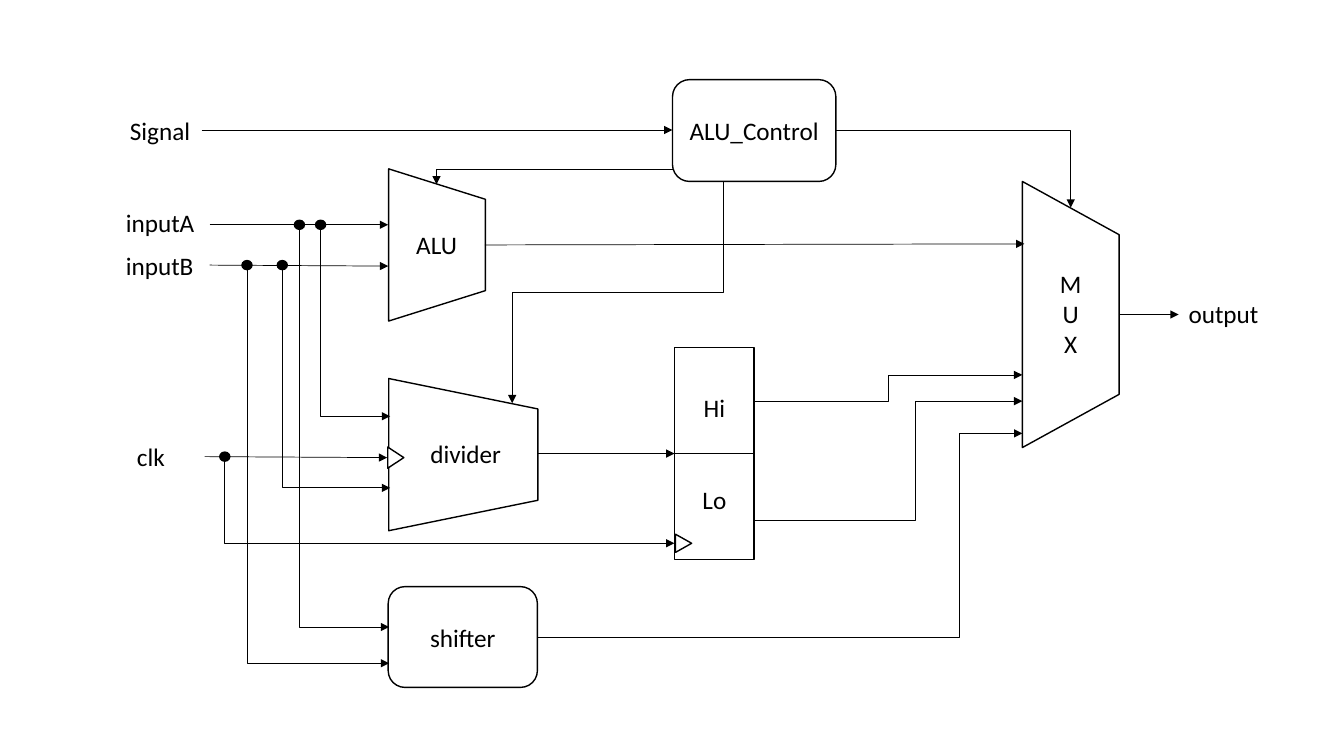
from dataclasses import dataclass
from typing import Optional

from lxml.etree import SubElement
from pptx import Presentation
from pptx.dml.color import RGBColor
from pptx.enum.shapes import MSO_CONNECTOR, MSO_SHAPE
from pptx.enum.text import MSO_ANCHOR, MSO_AUTO_SIZE, PP_ALIGN
from pptx.oxml.ns import qn
from pptx.shapes.autoshape import Shape
from pptx.slide import Slide
from pptx.text.text import TextFrame
from pptx.util import Inches, Pt


@dataclass(frozen=True)
class Theme:
    """Colours, font and sizes of the diagram."""
    ink: RGBColor = RGBColor(0, 0, 0)
    paper: RGBColor = RGBColor(255, 255, 255)
    font: str = "Calibri"
    text_size: Pt = Pt(18)
    outline: Pt = Pt(1)
    wire: Pt = Pt(0.5)


THEME = Theme()


@dataclass(frozen=True)
class Block:
    """A component outline, with its lines of text if it carries any."""
    kind: MSO_SHAPE
    left: float
    top: float
    width: float
    height: float
    lines: tuple[str, ...] = ()
    rotation: int = 0
    fill: RGBColor = THEME.paper
    gap: float = 0


@dataclass(frozen=True)
class Label:
    """Free-standing text."""
    lines: tuple[str, ...]
    left: float
    top: float
    width: float
    height: float = 0.4
    align: PP_ALIGN = PP_ALIGN.LEFT


@dataclass(frozen=True)
class Wire:
    """A wire; bend is where an elbow turns, as a share of its width."""
    start: tuple[float, float]
    end: tuple[float, float]
    bend: Optional[float] = None
    corner: bool = False
    vertical: bool = False
    arrow: bool = True


TRAPEZOID = MSO_SHAPE.FLOWCHART_MANUAL_OPERATION
ROUNDED = MSO_SHAPE.ROUNDED_RECTANGLE
BLOCKS = [
    Block(TRAPEZOID, 9.3, 2.64, 2.64, 0.96, rotation=270),
    Block(ROUNDED, 6.67, 0.79, 1.62, 1.01, ("ALU_Control",)),
    Block(TRAPEZOID, 3.58, 1.95, 1.51, 0.96, rotation=270),
    Block(TRAPEZOID, 3.84, 3.77, 1.51, 1.48, rotation=270),
    Block(ROUNDED, 3.85, 5.82, 1.48, 1, ("shifter",)),
    Block(MSO_SHAPE.RECTANGLE, 6.69, 3.45, 0.79, 2.1, ("Hi", "Lo"), gap=44),
]
CLOCK_MARKS = [
    Block(MSO_SHAPE.ISOSCELES_TRIANGLE, 6.69, 5.31, 0.18, 0.16, rotation=90),
    Block(MSO_SHAPE.ISOSCELES_TRIANGLE, 3.82, 4.46, 0.21, 0.16, rotation=90),
]
LABELS = [
    Label(("M", "U", "X"), 10.41, 2.61, 0.42, 1.01, PP_ALIGN.CENTER),
    Label(("divider",), 4.17, 4.3, 0.91),
    Label(("ALU",), 4.03, 2.23, 0.61),
    Label(("Signal",), 1.19, 1.09, 0.81),
    Label(("inputA",), 1.15, 2.01, 0.89),
    Label(("inputB",), 1.15, 2.43, 0.88),
    Label(("clk",), 1.26, 4.33, 0.48),
    Label(("output",), 11.69, 2.91, 0.9),
]

INPUT_A, INPUT_B, CLOCK = 2.23, 2.63, 4.53
# Each branch leaves an input at its junction, drops and runs right to its end.
BRANCHES = [
    ((3.18, INPUT_A), (3.87, 4.13)),
    ((2.8, INPUT_B), (3.87, 4.84)),
    ((2.97, INPUT_A), (3.86, 6.22)),
    ((2.45, INPUT_B), (3.86, 6.58)),
    ((2.23, CLOCK), (6.69, 5.39)),
]
WIRES = [
    Wire((6.69, 4.5), (7.48, 4.5), arrow=False),
    Wire((2, 1.29), (6.67, 1.29)),
    Wire((2.08, INPUT_A), (3.85, INPUT_A)),
    Wire((2.08, INPUT_B), (3.85, 2.64)),
    Wire((2.03, CLOCK), (3.84, 4.54)),
    Wire((5.33, 4.5), (6.69, 4.5)),
    Wire((4.81, 2.43), (10.16, 2.42)),
    Wire((11.1, 3.12), (11.69, 3.12)),
    Wire((7.48, 3.98), (10.14, 3.72), bend=0.5),
    Wire((7.48, 5.16), (10.14, 3.98), bend=0.6),
    Wire((5.33, 6.32), (10.14, 4.3), bend=0.87),
    Wire((7.17, 1.8), (5.08, 4), bend=0.5, vertical=True),
    Wire((8.29, 1.29), (10.62, 2.06), corner=True),
    Wire((6.69, 1.68), (4.33, 1.83), corner=True),
    *(Wire(start, end, bend=0) for start, end in BRANCHES),
]
DOT_WIDTH, DOT_HEIGHT = 0.1, 0.09


def write_lines(frame: TextFrame, lines: tuple[str, ...], align: PP_ALIGN, gap: float = 0) -> None:
    """Write one paragraph per line, with a gap in points between them."""
    for index, line in enumerate(lines):
        paragraph = frame.paragraphs[0] if index == 0 else frame.add_paragraph()
        paragraph.alignment = align
        if index and gap:
            paragraph.space_before = Pt(gap)
        run = paragraph.add_run()
        run.text = line
        run.font.name = THEME.font
        run.font.size = THEME.text_size
        run.font.color.rgb = THEME.ink


def draw_block(slide: Slide, block: Block) -> Shape:
    """Draw an outlined component."""
    shape = slide.shapes.add_shape(block.kind, Inches(block.left), Inches(block.top),
                                   Inches(block.width), Inches(block.height))
    shape.rotation = block.rotation
    shape.shadow.inherit = False
    shape.fill.solid()
    shape.fill.fore_color.rgb = block.fill
    shape.line.color.rgb = THEME.ink
    shape.line.width = THEME.outline
    shape.text_frame.vertical_anchor = MSO_ANCHOR.MIDDLE
    write_lines(shape.text_frame, block.lines, PP_ALIGN.CENTER, block.gap)
    return shape


def draw_label(slide: Slide, label: Label) -> None:
    """Draw a text box that fits its text."""
    box = slide.shapes.add_textbox(Inches(label.left), Inches(label.top),
                                   Inches(label.width), Inches(label.height))
    box.text_frame.word_wrap = False
    box.text_frame.auto_size = MSO_AUTO_SIZE.SHAPE_TO_FIT_TEXT
    write_lines(box.text_frame, label.lines, label.align)


def draw_wire(slide: Slide, wire: Wire) -> None:
    """Draw a straight or elbow connector."""
    (x1, y1), (x2, y2) = wire.start, wire.end
    if wire.vertical:  # lay the elbow on its side; a quarter turn restores it
        middle_x, middle_y = (x1 + x2) / 2, (y1 + y2) / 2
        half_width, half_height = (y2 - y1) / 2, (x1 - x2) / 2
        x1, x2 = middle_x - half_width, middle_x + half_width
        y1, y2 = middle_y - half_height, middle_y + half_height
    elbow = wire.corner or wire.bend is not None
    kind = MSO_CONNECTOR.ELBOW if elbow else MSO_CONNECTOR.STRAIGHT
    connector = slide.shapes.add_connector(kind, Inches(x1), Inches(y1), Inches(x2), Inches(y2))
    connector.line.color.rgb = THEME.ink
    connector.line.width = THEME.wire
    properties = connector._element.spPr
    if wire.vertical:
        properties.find(qn("a:xfrm")).set("rot", str(90 * 60000))
    geometry = properties.find(qn("a:prstGeom"))
    if wire.corner:
        geometry.set("prst", "bentConnector2")
    elif wire.bend is not None:
        SubElement(geometry.find(qn("a:avLst")), qn("a:gd"), name="adj1",
                   fmla=f"val {round(wire.bend * 100000)}")
    if wire.arrow:
        SubElement(properties.find(qn("a:ln")), qn("a:tailEnd"), type="triangle")
    SubElement(properties, qn("a:effectLst"))


def draw_junction(slide: Slide, centre: tuple[float, float]) -> None:
    """Draw the dot where a branch leaves an input."""
    x, y = centre
    draw_block(slide, Block(MSO_SHAPE.OVAL, x - DOT_WIDTH / 2, y - DOT_HEIGHT / 2,
                            DOT_WIDTH, DOT_HEIGHT, fill=THEME.ink))


def build() -> None:
    """Build the datapath slide and save it."""
    presentation = Presentation()
    presentation.slide_width, presentation.slide_height = Inches(13.33), Inches(7.5)
    slide = presentation.slides.add_slide(presentation.slide_layouts[6])
    for block in BLOCKS:
        draw_block(slide, block)
    for wire in WIRES:
        draw_wire(slide, wire)
    for start, _ in BRANCHES:
        draw_junction(slide, start)
    for mark in CLOCK_MARKS:
        draw_block(slide, mark)
    for label in LABELS:
        draw_label(slide, label)
    presentation.save("out.pptx")


build()
